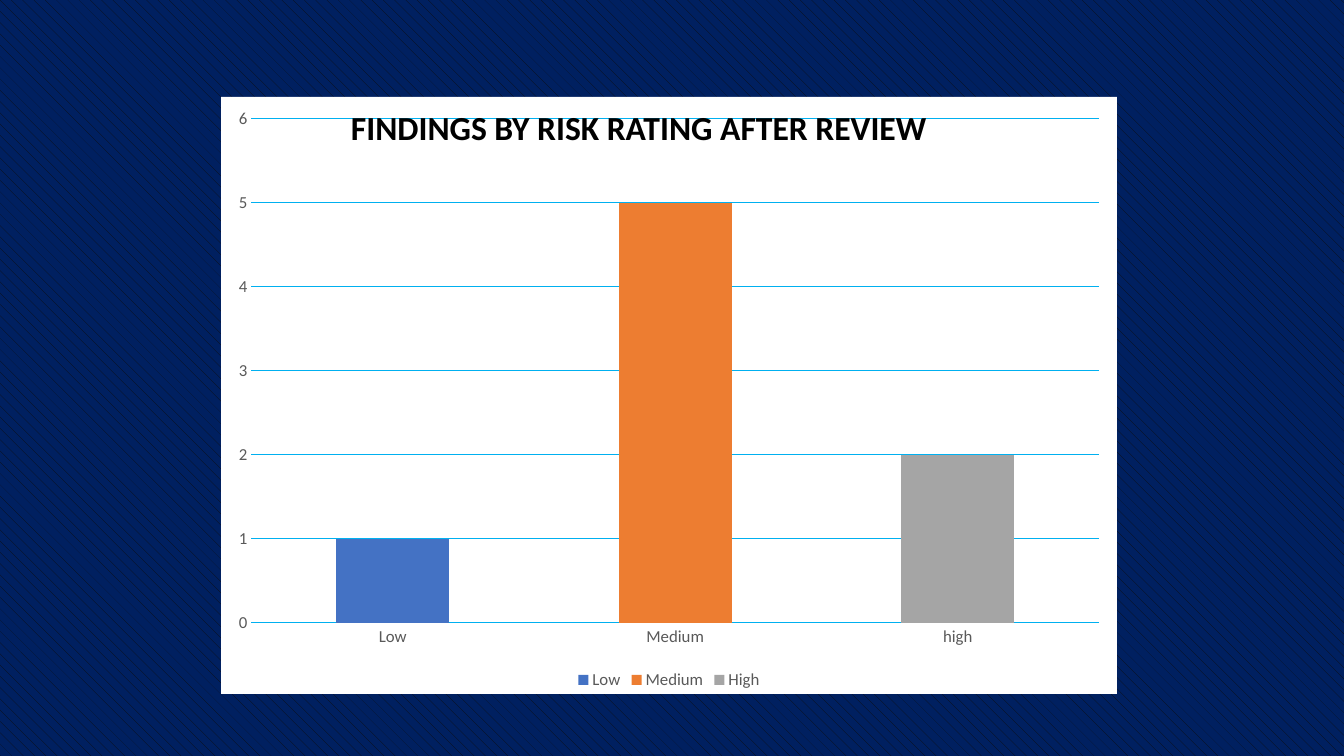
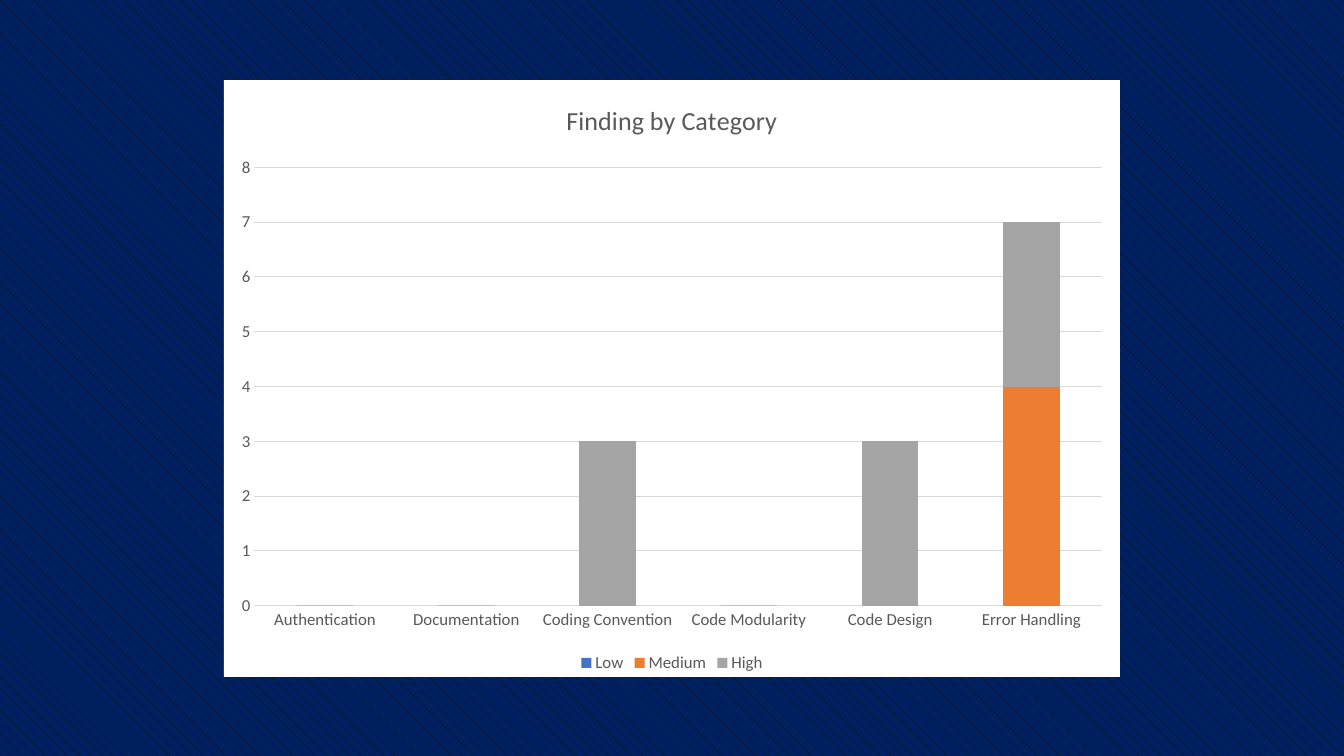
from pptx import Presentation
from pptx.chart.data import CategoryChartData
from pptx.dml.color import RGBColor
from pptx.enum.chart import XL_CHART_TYPE, XL_LEGEND_POSITION, XL_TICK_MARK
from pptx.enum.dml import MSO_PATTERN
from pptx.enum.text import MSO_AUTO_SIZE
from pptx.oxml import parse_xml
from pptx.util import Pt

STACKED = XL_CHART_TYPE.COLUMN_STACKED
BOTTOM = XL_LEGEND_POSITION.BOTTOM
NO_TICK = XL_TICK_MARK.NONE
SHINGLE = MSO_PATTERN.SHINGLE
GROW = MSO_AUTO_SIZE.SHAPE_TO_FIT_TEXT

NAVY = RGBColor(0x00, 0x20, 0x60)
INK = RGBColor(0x0D, 0x0D, 0x0D)
BLACK = RGBColor(0x00, 0x00, 0x00)
GRAY = RGBColor(0x59, 0x59, 0x59)
PALE = RGBColor(0xD9, 0xD9, 0xD9)
CYAN = RGBColor(0x00, 0xB0, 0xF0)
WHITE = RGBColor(0xFF, 0xFF, 0xFF)
RATINGS = {
    "Low": RGBColor(0x44, 0x72, 0xC4),
    "Medium": RGBColor(0xED, 0x7D, 0x31),
    "High": RGBColor(0xA5, 0xA5, 0xA5),
}
FACE = "Calibri"
WIDE, TALL = 1344, 756
SCALE = 12192000 / WIDE


def emu(box):
    return [round(n * SCALE) for n in box]


def style(font, size, color, bold=False):
    font.name, font.size, font.bold = FACE, Pt(size), bold
    font.color.rgb = color


def new_slide(deck):
    slide = deck.slides.add_slide(deck.slide_layouts[6])
    fill = slide.background.fill
    fill.patterned()
    fill.pattern = SHINGLE
    fill.fore_color.rgb = INK
    fill.back_color.rgb = NAVY
    return slide


def fill_chart(chart, color):
    space = chart.element
    uri = "http://schemas.openxmlformats.org/drawingml/2006/"
    panel = parse_xml(
        f'<c:spPr xmlns:c="{uri}chart" xmlns:a="{uri}main">'
        f'<a:solidFill><a:srgbClr val="{color}"/></a:solidFill>'
        '<a:ln><a:noFill/></a:ln></c:spPr>')
    space.xpath("c:chart")[0].addnext(panel)


def add_columns(slide, box, names, rows, grid, title=None):
    data = CategoryChartData()
    data.categories = names
    for rating, row in zip(RATINGS, rows):
        data.add_series(rating, row)
    chart = slide.shapes.add_chart(STACKED, *emu(box), data).chart
    style(chart.font, 10, BLACK)
    fill_chart(chart, WHITE)

    # Title
    chart.has_title = title is not None
    if title:
        frame = chart.chart_title.text_frame
        frame.text = title
        style(frame.paragraphs[0].runs[0].font, 18.6, GRAY)
        chart.chart_title.include_in_layout = False

    # Columns
    plot = chart.plots[0]
    plot.gap_width, plot.overlap = 150, 100
    plot.vary_by_categories = False
    for series, color in zip(plot.series, RATINGS.values()):
        series.format.fill.solid()
        series.format.fill.fore_color.rgb = color

    # Axes and grid
    for axis in (chart.category_axis, chart.value_axis):
        axis.major_tick_mark = axis.minor_tick_mark = NO_TICK
        axis.format.line.fill.background()
        style(axis.tick_labels.font, 12, GRAY)
    chart.value_axis.has_major_gridlines = True
    line = chart.value_axis.major_gridlines.format.line
    line.color.rgb = grid
    line.width = Pt(0.75)

    # Legend
    chart.has_legend = True
    chart.legend.position = BOTTOM
    chart.legend.include_in_layout = False
    style(chart.legend.font, 12, GRAY)


def add_heading(slide, box, text):
    frame = slide.shapes.add_textbox(*emu(box)).text_frame
    frame.word_wrap = True
    frame.auto_size = GROW
    frame.text = text
    style(frame.paragraphs[0].runs[0].font, 24, BLACK, True)


def risk_slide(deck, left, top, width, height):
    slide = new_slide(deck)
    rows = [(1, 0, 0), (0, 5, 0), (0, 0, 2)]
    add_columns(slide, (left, top, width, height),
                ["Low", "Medium", "high"], rows, CYAN)
    add_heading(slide, (left + 120, top + 5, 673, 50),
                "FINDINGS BY RISK RATING AFTER REVIEW")


def category_slide(deck, *box):
    names = ["Authentication", "Documentation", "Coding Convention",
             "Code Modularity", "Code Design", "Error Handling"]
    rows = [(0,) * 6, (0, 0, 0, 0, 0, 4), (0, 0, 3, 0, 3, 3)]
    add_columns(new_slide(deck), box, names, rows, PALE,
                "Finding by Category")


deck = Presentation()
deck.slide_width, deck.slide_height = emu((WIDE, TALL))
risk_slide(deck, 221, 97, 896, 597)
category_slide(deck, 224, 80, 896, 597)
deck.save("out.pptx")
